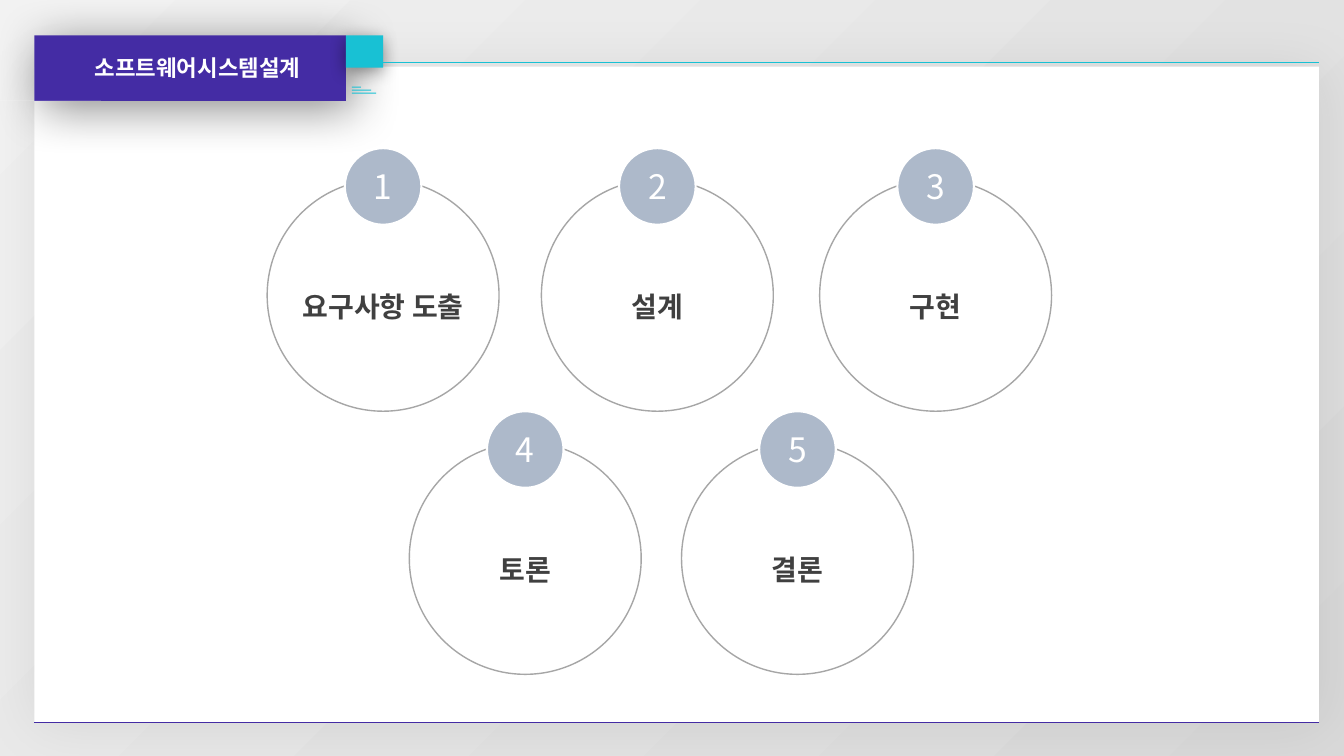
from dataclasses import dataclass

from lxml.etree import SubElement
from pptx import Presentation
from pptx.dml.color import RGBColor
from pptx.enum.shapes import MSO_CONNECTOR, MSO_SHAPE
from pptx.enum.text import MSO_ANCHOR, MSO_AUTO_SIZE, PP_ALIGN
from pptx.oxml import parse_xml
from pptx.oxml.ns import nsdecls, qn
from pptx.util import Inches, Pt


@dataclass(frozen=True)
class Theme:
    font: str = "Noto Sans CJK KR"
    white: str = "FFFFFF"
    purple: str = "442CA4"
    cyan: str = "18C1D4"
    badge: str = "ADB9CA"
    ring: str = "A6A6A6"
    ink: str = "404040"
    shadow: str = "000000"
    back_light: str = "F2F2F2"
    back_dark: str = "D9D9D9"
    title_size: int = 16
    label_size: int = 20
    number_size: int = 24


THEME = Theme()
PANEL = (0.34, 0.66, 12.74, 6.51)
BANNER = (0.34, 0.35, 3.09, 0.65)
RING_SIZE = 2.3
BADGE_SIZE = 0.76
BADGE_RISE = 0.31
LABEL_DROP = 0.88
STEP_ROWS = [
    (1.78, [(2.65, "요구사항 도출"), (5.37, "설계"), (8.13, "구현")]),
    (4.39, [(4.06, "토론"), (6.76, "결론")]),
]
HOUSE_BODY = [(0.11, 0.04), (0.03, 0.1), (0.03, 0.16), (0.04, 0.17), (0.09, 0.17),
              (0.09, 0.12), (0.12, 0.12), (0.12, 0.17), (0.17, 0.17),
              (0.18, 0.16), (0.18, 0.1)]
HOUSE_ROOF = [(0.21, 0.08), (0.18, 0.06), (0.18, 0), (0.15, 0), (0.15, 0.03),
              (0.11, 0), (0.1, 0), (0, 0.08), (0, 0.09), (0.01, 0.1),
              (0.02, 0.1), (0.11, 0.03), (0.19, 0.1), (0.2, 0.1), (0.21, 0.09)]


def color(value):
    return RGBColor.from_string(value)


def paint(shape, fill=None, line=None, width=1):
    shape.shadow.inherit = False
    if fill:
        shape.fill.solid()
        shape.fill.fore_color.rgb = color(fill)
    else:
        shape.fill.background()
    if line:
        shape.line.color.rgb = color(line)
        shape.line.width = Pt(width)
    else:
        shape.line.fill.background()


def cast_shadow(shape, opacity, blur, distance, angle):
    effects = shape.element.spPr.find(qn("a:effectLst"))
    effects.append(parse_xml(
        f'<a:outerShdw {nsdecls("a")} blurRad="{Pt(blur)}" dist="{Pt(distance)}" '
        f'dir="{angle * 60000}" algn="tl" rotWithShape="0">'
        f'<a:srgbClr val="{THEME.shadow}"><a:alpha val="{opacity * 1000}"/></a:srgbClr>'
        '</a:outerShdw>'))


def add_block(shapes, kind, box, **look):
    shape = shapes.add_shape(kind, *map(Inches, box))
    paint(shape, **look)
    return shape


def add_rule(page, left, right, top, stroke):
    rule = page.shapes.add_connector(
        MSO_CONNECTOR.STRAIGHT, Inches(left), Inches(top), Inches(right), Inches(top))
    rule.line.color.rgb = color(stroke)
    rule.line.width = Pt(0.5)
    SubElement(rule.element.spPr, qn("a:effectLst"))


def write(shape, text, size, ink, bold=False, align=PP_ALIGN.CENTER, spacing=1.0):
    shape.text_frame.text = text
    para = shape.text_frame.paragraphs[0]
    para.alignment = align
    para.line_spacing = spacing
    para.font.name = THEME.font
    para.font.size = Pt(size)
    para.font.bold = bold
    para.font.color.rgb = color(ink)
    defaults = shape.element.find(".//" + qn("a:defRPr"))
    SubElement(defaults, qn("a:ea")).set("typeface", THEME.font)


def draw_background(page):
    fill = page.background.fill
    fill.gradient()
    for stop, shade in zip(fill.gradient_stops, (THEME.back_light, THEME.back_dark)):
        stop.color.rgb = color(shade)
    linear = page.element.find(".//" + qn("a:lin"))
    linear.getparent().replace(linear, parse_xml(
        f'<a:path {nsdecls("a")} path="circle">'
        '<a:fillToRect r="100000" b="100000"/></a:path>'))


def draw_panel(page, box):
    panel = add_block(page.shapes, MSO_SHAPE.RECTANGLE, box, fill=THEME.white)
    cast_shadow(panel, 7, 43, 3, 45)
    return panel


def draw_home_icon(page, left, top):
    icon = page.shapes.add_group_shape()
    for outline in (HOUSE_BODY, HOUSE_ROOF):
        points = [(left + x, top + y) for x, y in outline]
        builder = icon.shapes.build_freeform(*points[0], scale=Inches(1))
        builder.add_line_segments(points[1:], close=True)
        paint(builder.convert_to_shape(), fill=THEME.white)


def draw_banner(page, panel, box):
    left, top, width, height = box
    title = page.shapes.title
    panel.element.addnext(title.element)
    title.left, title.top, title.width, title.height = map(Inches, box)
    paint(title, fill=THEME.purple)
    cast_shadow(title, 45, 35, 8, 45)
    frame = title.text_frame
    frame.auto_size = MSO_AUTO_SIZE.NONE
    frame.vertical_anchor = MSO_ANCHOR.MIDDLE
    frame.margin_left = Inches(0.6)
    write(title, "소프트웨어시스템설계", THEME.title_size, THEME.white,
          bold=True, align=PP_ALIGN.LEFT)

    right = left + width
    bars = page.shapes.add_group_shape()
    for index, length in enumerate((0.09, 0.19, 0.24)):
        add_block(bars.shapes, MSO_SHAPE.RECTANGLE,
                  (right + 0.06, top + 0.51 + index * 0.03, length, 0.01), fill=THEME.cyan)
    tab = add_block(page.shapes, MSO_SHAPE.RECTANGLE, (right, top, 0.37, 0.32),
                    fill=THEME.cyan)
    cast_shadow(tab, 40, 12, 3, 90)
    draw_home_icon(page, left + 0.16, top + 0.23)


def draw_rules(page, box):
    left, top, width, height = box
    right = left + width
    add_rule(page, 3.75, right, top - 0.04, THEME.cyan)
    add_rule(page, left, right, top + height, THEME.purple)


def draw_step(page, left, top, number, text):
    add_block(page.shapes, MSO_SHAPE.OVAL, (left, top, RING_SIZE, RING_SIZE),
              line=THEME.ring)
    inset = (RING_SIZE - BADGE_SIZE) / 2
    badge = add_block(page.shapes, MSO_SHAPE.OVAL,
                      (left + inset, top - BADGE_RISE, BADGE_SIZE, BADGE_SIZE),
                      fill=THEME.badge, line=THEME.white, width=1.5)
    badge.text_frame.vertical_anchor = MSO_ANCHOR.MIDDLE
    write(badge, str(number), THEME.number_size, THEME.white)
    label = page.shapes.add_textbox(
        *map(Inches, (left, top + LABEL_DROP, RING_SIZE, 0.54)))
    label.text_frame.word_wrap = True
    write(label, text, THEME.label_size, THEME.ink, bold=True, spacing=1.5)


def main():
    deck = Presentation()
    deck.slide_width, deck.slide_height = Inches(13.33), Inches(7.5)
    page = deck.slides.add_slide(deck.slide_layouts[5])
    draw_background(page)
    panel = draw_panel(page, PANEL)
    draw_banner(page, panel, BANNER)
    draw_rules(page, PANEL)
    steps = [(left, top, text) for top, row in STEP_ROWS for left, text in row]
    for number, (left, top, text) in enumerate(steps, start=1):
        draw_step(page, left, top, number, text)
    deck.save("out.pptx")


if __name__ == "__main__":
    main()
